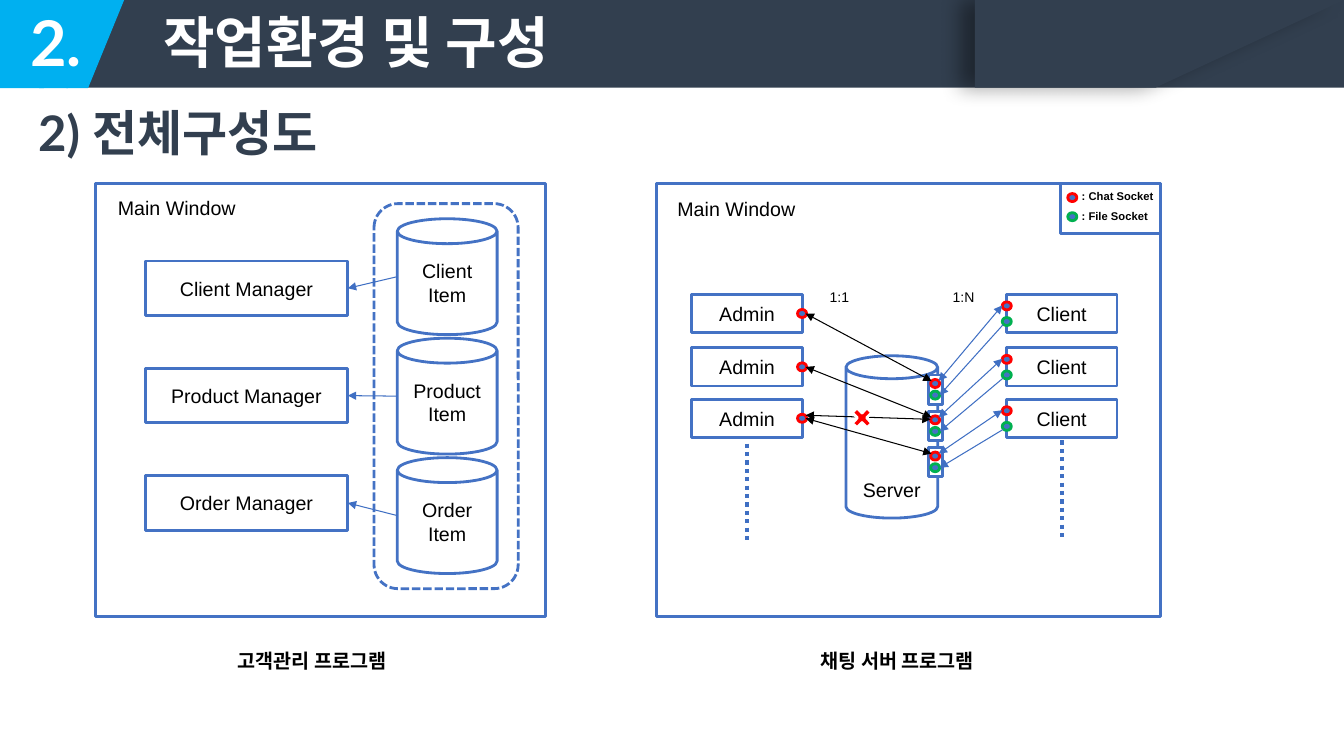
import pptx
import pptx.util
import pptx.dml.color
import pptx.enum.dml
import pptx.enum.shapes
import pptx.enum.text
import pptx.oxml
import pptx.oxml.ns

CELL = pptx.util.Inches(0.1)
BLUE, LINK, RED, GREEN = "4472C4", "3F6FC3", "FF0000", "00B050"
NAVY, CYAN, WHITE, BLACK = "323F4F", "00B0F0", "FFFFFF", "000000"
color = pptx.dml.color.RGBColor.from_string
kinds = pptx.enum.shapes.MSO_SHAPE
anchors = pptx.enum.text.MSO_ANCHOR
dashes = pptx.enum.dml.MSO_LINE

deck = pptx.Presentation()
deck.slide_width = round(133.3 * CELL)
deck.slide_height = 75 * CELL
slide = deck.slides.add_slide(deck.slide_layouts[6])
shapes = slide.shapes


def place(kind, box, text="", size=14, ink=BLACK, font="Arial", bold=False,
          fill=WHITE, line=BLUE, anchor=anchors.MIDDLE, wrap=True):
    frame = [round(value * CELL) for value in box]
    if kind is None:
        item = shapes.add_textbox(*frame)
    else:
        item = shapes.add_shape(kind, *frame)
        item.shadow.inherit = False
        item.fill.solid()
        item.fill.fore_color.rgb = color(fill)
        if line:
            item.line.color.rgb = color(line)
            item.line.width = pptx.util.Pt(2)
        else:
            item.line.fill.background()
    if text:
        words = item.text_frame
        words.text = text
        words.word_wrap = wrap
        words.vertical_anchor = anchor
        if not wrap:
            words.auto_size = pptx.enum.text.MSO_AUTO_SIZE.SHAPE_TO_FIT_TEXT
        for paragraph in words.paragraphs:
            if kind is not None:
                paragraph.alignment = pptx.enum.text.PP_ALIGN.CENTER
            for run in paragraph.runs:
                run.font.size = pptx.util.Pt(size)
                run.font.name = font
                run.font.bold = bold
                run.font.color.rgb = color(ink)
    return item


def link(start, end, ink=LINK, width=0.75, arrows=("tailEnd",)):
    points = [round(value * CELL) for value in (*start, *end)]
    wire = shapes.add_connector(pptx.enum.shapes.MSO_CONNECTOR.STRAIGHT, *points)
    wire.line.color.rgb = color(ink)
    wire.line.width = pptx.util.Pt(width)
    for arrow in arrows:
        pptx.oxml.ns.qn("a:" + arrow)
        head = wire.line._get_or_add_ln().makeelement(
            pptx.oxml.ns.qn("a:" + arrow), {"type": "triangle"})
        wire.line._get_or_add_ln().append(head)
    properties = wire._element.spPr
    properties.append(properties.makeelement(pptx.oxml.ns.qn("a:effectLst"), {}))
    return wire


place(kinds.RECTANGLE, (65.1, 18.2, 50, 43))
place(kinds.RECTANGLE, (105.2, 18.2, 9.9, 5))
place(kinds.RECTANGLE, (9.5, 18.2, 44.6, 43))

place(kinds.RECTANGLE, (0, 0, 133.3, 8.7), fill=NAVY, line=None)
banner_parts = [
    (NAVY, [(96.7, 0), (133.3, 0), (114.6, 8.7), (96.7, 8.7)]),
    (CYAN, [(3.9, -0.1), (11.9, -0.1), (6.7, 8.7), (3.9, 8.7)]),
    (CYAN, [(0, -0.1), (11.9, -0.1), (4.3, 8.7), (0, 8.7)]),
    (CYAN, [(6.6, -0.1), (12.3, -0.1), (8.7, 8.7), (6.6, 8.7)]),
]
for tint, corners in banner_parts:
    builder = shapes.build_freeform(*corners[0], scale=CELL)
    builder = shapes.build_freeform(
        round(corners[0][0] * CELL), round(corners[0][1] * CELL))
    builder.add_line_segments(
        [(round(x * CELL), round(y * CELL)) for x, y in corners[1:]])
    part = builder.convert_to_shape()
    part.shadow.inherit = False
    part.fill.solid()
    part.fill.fore_color.rgb = color(tint)
    if tint == CYAN:
        part.line.color.rgb = color(CYAN)
        part.line.width = pptx.util.Pt(0.75)
    else:
        part.line.fill.background()
        part._element.spPr.find(pptx.oxml.ns.qn("a:effectLst")).append(
            pptx.oxml.parse_xml(
                f'<a:outerShdw {pptx.oxml.ns.nsdecls("a")} blurRad="190500" '
                'dist="127000" dir="10800000"><a:srgbClr val="000000">'
                '<a:alpha val="40000"/></a:srgbClr></a:outerShdw>'))

place(None, (2, 0.1, 10, 7.9), "2.", 45, WHITE, "Lato", True)
place(None, (15.2, 0.1, 53, 7.9), "작업환경 및 구성", 40, WHITE, "Lato", True)
place(None, (2.8, 9.7, 96.2, 7.9), "2) 전체구성도", 35, NAVY, "Lato", True,
      anchor=anchors.TOP)

store = place(kinds.ROUNDED_RECTANGLE, (37.1, 20.2, 14.3, 38.2))
store.line.dash_style = dashes.SQUARE_DOT
store.line._get_or_add_ln().find(pptx.oxml.ns.qn("a:prstDash")).set("val", "sysDash")
for row, subject in enumerate(("Client", "Product", "Order")):
    can_top = 21.7 + 11.85 * row
    place(kinds.CAN, (39.4, can_top, 9.9, 11.5), f"{subject}\nItem")
    manager = place(kinds.RECTANGLE, (14.4, 25.9 + 10.65 * row, 20.1, 5.4),
                    f"{subject} Manager")
    feed = link((39.4, can_top + 5.75), (34.5, 28.6 + 10.65 * row))
    feed.end_connect(manager, 3)

place(kinds.CAN, (83.9, 35.3, 9.1, 16.1), "Server", anchor=anchors.BOTTOM)
for column, foot in ((74.1, 44), (105.3, 43.7)):
    more = link((column, foot), (column, foot + 10), width=3, arrows=())
    more.line.dash_style = dashes.ROUND_DOT
    more.line._get_or_add_ln().find(pptx.oxml.ns.qn("a:prstDash")).set("val", "sysDot")

sockets = [(105.9, 19.2, RED), (105.9, 21.1, GREEN)]
desk_tops = (29.2, 34.5, 39.6)
port_tops = (37.2, 40.8, 44.4)
for desk, port in zip(desk_tops, port_tops):
    place(kinds.RECTANGLE, (99.8, desk, 11, 3.8), "Client")
    place(kinds.RECTANGLE, (68.6, desk, 11, 3.8), "Admin")
    place(kinds.RECTANGLE, (92.1, port, 1.4, 2.9))
    sockets += [(99.4, desk + 0.75, RED), (99.4, desk + 2.3, GREEN),
                (92.3, port + 0.45, RED), (92.3, port + 1.6, GREEN),
                (79.1, desk + 1.5, RED)]
for x, y, ring in sockets:
    place(kinds.OVAL, (x, y, 0.9, 0.8), fill=BLUE, line=ring)

both = ("headEnd", "tailEnd")
for desk, port in zip(desk_tops, port_tops):
    link((93.1, port + 0.6), (99.4, desk + 1.1), arrows=both)
    link((99.5, desk + 3), (93.2, port + 2))
    link((79.9, desk + 1.9), (92.4, port + 0.6), BLACK, arrows=both)
link((79.9, 41.2), (92.3, 41.6), BLACK, arrows=both)
place(kinds.MATH_MULTIPLY, (84.1, 40, 2.8, 2.9), fill=RED, line=WHITE)

labels = [
    ((22.6, 63.9, 18.3, 3.4), "고객관리 프로그램", 14, True),
    ((80.4, 63.9, 18.8, 3.4), "채팅 서버 프로그램", 14, True),
    ((10.7, 18.9, 13.8, 3.4), "Main Window", 14, False),
    ((66.2, 19, 13.8, 3.4), "Main Window", 14, False),
    ((106.3, 18.3, 9.2, 2.4), ": Chat Socket", 8, True),
    ((106.3, 20.3, 8.7, 2.4), ": File Socket", 8, True),
    ((81.3, 28.1, 3.9, 2.7), "1:1", 10, False),
    ((93.5, 28.1, 4.2, 2.7), "1:N", 10, False),
]
for box, text, size, bold in labels:
    place(None, box, text, size, bold=bold, anchor=anchors.TOP, wrap=False)

deck.save("out.pptx")
